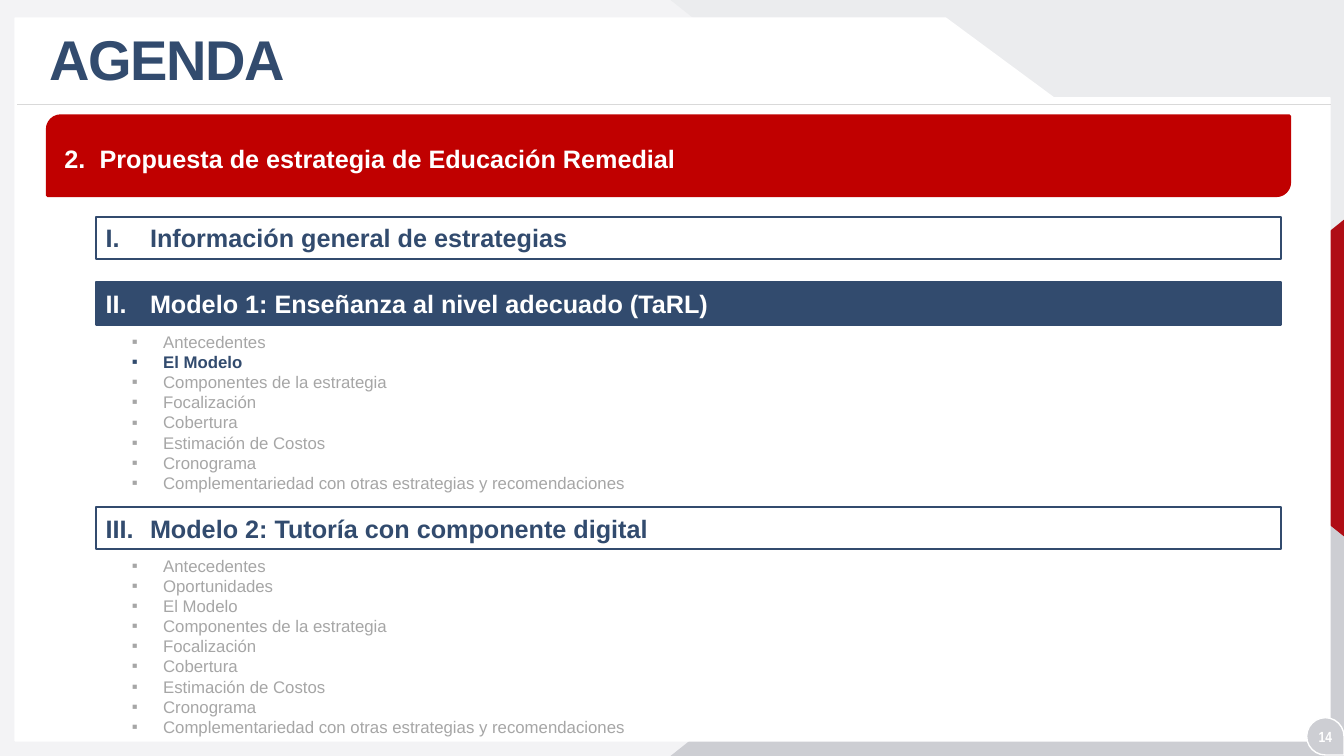
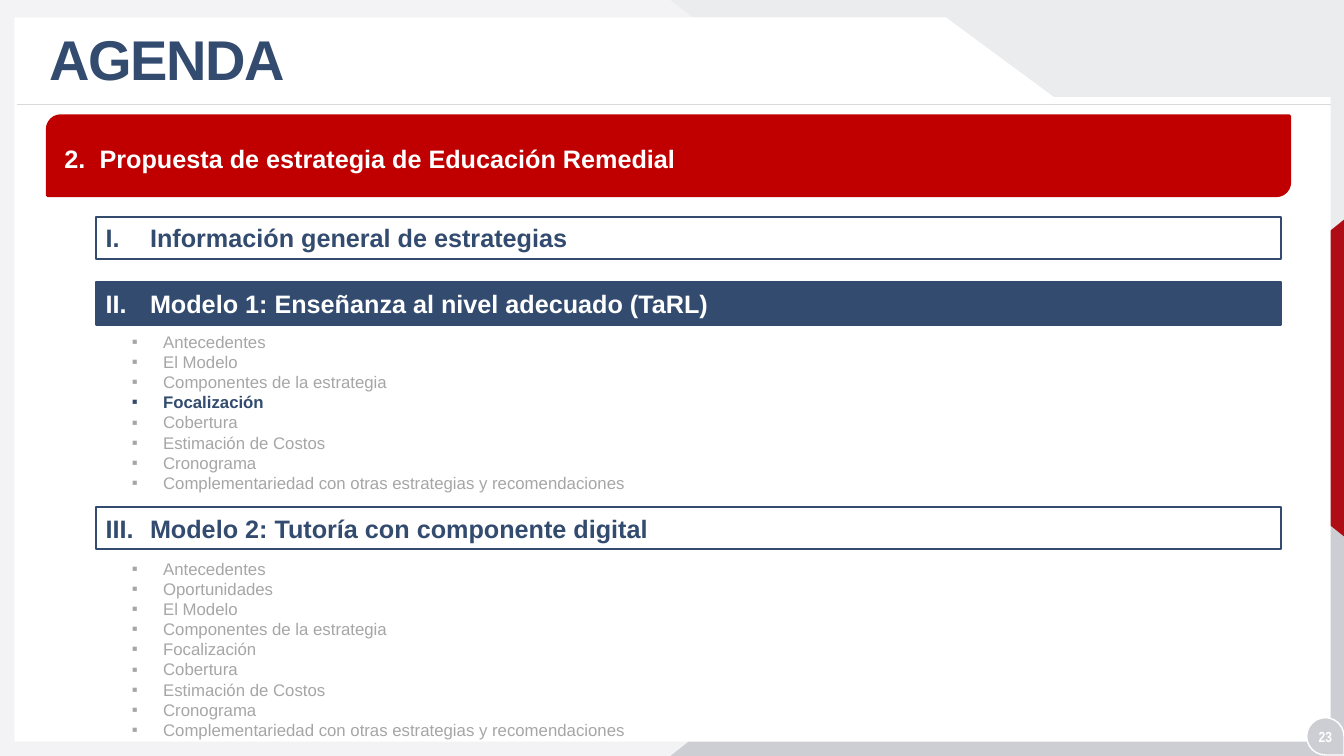
from lxml.etree import SubElement
from pptx import Presentation
from pptx.dml.color import RGBColor
from pptx.enum.shapes import MSO_CONNECTOR, MSO_SHAPE as Shape
from pptx.enum.text import MSO_ANCHOR as Anchor, PP_ALIGN as Align
from pptx.oxml.ns import qn
from pptx.util import Emu, Pt

# Palette
NAVY, RED, DARK_RED = "324B6E", "C00000", "AF0D15"
WHITE, PAPER, MIST, SILVER = "FFFFFF", "F3F3F5", "EBECEE", "CDCED3"
RULE, MUTED = "D9D9D9", "A6A6A6"

# Geometry, with 100 px to the inch
WIDTH, HEIGHT = 1333, 750
PANEL = [(15, 18), (938, 18), (1045, 97), (1319, 97), (1319, 735), (15, 735)]

# Agenda content
MODEL_1 = ["Antecedentes", "El Modelo", "Componentes de la estrategia",
           "Focalización", "Cobertura", "Estimación de Costos", "Cronograma",
           "Complementariedad con otras estrategias y recomendaciones"]
MODEL_2 = MODEL_1[:1] + ["Oportunidades"] + MODEL_1[1:]
SECTIONS = [(215, "Información general de estrategias"),
            (280, "Modelo 1: Enseñanza al nivel adecuado (TaRL)"),
            (503, "Modelo 2: Tutoría con componente digital")]
ACTIVE_SECTION = 2


def px(length):
    return Emu(length * 9144)


def color(value):
    return RGBColor.from_string(value)


class AgendaDeck:
    """Holds the deck, its style and the current page."""

    font = "Arial"

    def __init__(self):
        self.deck = Presentation()
        self.deck.slide_width, self.deck.slide_height = px(WIDTH), px(HEIGHT)
        self.page = None

    def new_page(self, number):
        self.page = self.deck.slides.add_slide(self.deck.slide_layouts[6])
        self.backdrop()
        self.text(39, 22, 966, 79, "AGENDA", 40, NAVY, title=True)
        self.text(1291, 717, 47, 28, number, 10.5, WHITE,
                  font="Arial Narrow", align=Align.CENTER)

    # Shapes and lines
    def paint(self, shape, fill, line=None, weight=1):
        shape.shadow.inherit = False
        if fill:
            shape.fill.solid()
            shape.fill.fore_color.rgb = color(fill)
        else:
            shape.fill.background()
        if line:
            shape.line.color.rgb = color(line)
            shape.line.width = Pt(weight)
        else:
            shape.line.fill.background()
        return shape

    def shape(self, kind, left, top, width, height, fill, line=None, weight=1,
              turn=0, adjust=None, flip=False):
        shape = self.page.shapes.add_shape(
            kind, px(left), px(top), px(width), px(height))
        shape.rotation = turn
        if adjust is not None:
            shape.adjustments[0] = adjust
        if flip:
            shape._element.spPr.find(qn("a:xfrm")).set("flipV", "1")
        return self.paint(shape, fill, line, weight)

    def outline(self, points, fill, line):
        builder = self.page.shapes.build_freeform(*points[0], scale=px(1))
        builder.add_line_segments(points[1:], close=True)
        return self.paint(builder.convert_to_shape(), fill, line)

    def rule(self, left, right, top, line):
        rule = self.page.shapes.add_connector(
            MSO_CONNECTOR.STRAIGHT, px(left), px(top), px(right), px(top))
        rule.line.color.rgb = color(line)
        rule.line.width = Pt(0.5)
        SubElement(rule._element.spPr, qn("a:effectLst"))

    def backdrop(self):
        self.shape(Shape.RECTANGLE, 0, 0, WIDTH, HEIGHT, PAPER)
        for top, fill, flip in ((0, MIST, True), (219, SILVER, False)):
            self.shape(Shape.ISOSCELES_TRIANGLE, 665, top, 668, 531, fill,
                       adjust=1, flip=flip)
        self.shape(Shape.ISOSCELES_TRIANGLE, 1078, 277, 315, 196, DARK_RED, turn=270)
        self.outline(PANEL, WHITE, WHITE)
        self.rule(17, 1320, 104, RULE)
        self.shape(Shape.TEAR, 1296, 712, 37, 37, SILVER, WHITE, turn=90)

    # Text
    def span(self, para, words, size, ink, bold=True, font=None):
        span = para.add_run()
        span.text = words
        span.font.name = font or self.font
        span.font.size = Pt(size)
        span.font.bold = bold
        span.font.color.rgb = color(ink)
        return span

    def text_box(self, left, top, width, height, anchor=Anchor.TOP):
        box = self.page.shapes.add_textbox(px(left), px(top), px(width), px(height))
        box.text_frame.word_wrap = True
        box.text_frame.vertical_anchor = anchor
        return box

    def text(self, left, top, width, height, words, size, ink,
             font=None, align=Align.LEFT, title=False):
        box = self.text_box(left, top, width, height, Anchor.MIDDLE)
        para = box.text_frame.paragraphs[0]
        para.alignment = align
        span = self.span(para, words, size, ink, font=font)
        if title:
            para.line_spacing = 0.9
            span.font._element.set("spc", "-100")

    def marker(self, para, indent, tag, **settings):
        props = para._p.get_or_add_pPr()
        props.set("marL", str(px(indent)))
        props.set("indent", str(px(-indent)))
        SubElement(props, qn("a:buFont"), typeface=self.font)
        SubElement(props, qn(tag), **settings)

    def numbered(self, box, words, ink, indent, style, start):
        para = box.text_frame.paragraphs[0]
        para.alignment = Align.LEFT
        self.marker(para, indent, "a:buAutoNum", type=style, startAt=str(start))
        self.span(para, words, 18, ink)

    # Agenda parts
    def banner(self, words, number):
        self.shape(Shape.ROUND_2_DIAG_RECTANGLE, 47, 115, 1232, 79, RED, RED, 2.25)
        box = self.text_box(54, 137, 1174, 40)
        self.numbered(box, words, WHITE, 35, "arabicPeriod", number)

    def section(self, top, words, number, active):
        box = self.shape(Shape.RECTANGLE, 95, top, 1176, 42,
                         NAVY if active else None, NAVY, 1.5)
        self.numbered(box, words, WHITE if active else NAVY, 44,
                      "romanUcPeriod", number)

    def topics(self, top, items, current=None):
        frame = self.text_box(121, top, 1124, 192).text_frame
        for index, item in enumerate(items):
            para = frame.add_paragraph() if index else frame.paragraphs[0]
            active = item == current
            self.marker(para, 31, "a:buChar", char="▪")
            self.span(para, item, 12, NAVY if active else MUTED, bold=active)


def main():
    agenda = AgendaDeck()
    for number, current, second_top in (("14", "El Modelo", 546),
                                        ("23", "Focalización", 549)):
        agenda.new_page(number)
        agenda.banner("Propuesta de estrategia de Educación Remedial", 2)
        for order, (top, words) in enumerate(SECTIONS, 1):
            agenda.section(top, words, order, order == ACTIVE_SECTION)
        agenda.topics(324, MODEL_1, current)
        agenda.topics(second_top, MODEL_2)
    agenda.deck.save("out.pptx")


if __name__ == "__main__":
    main()
